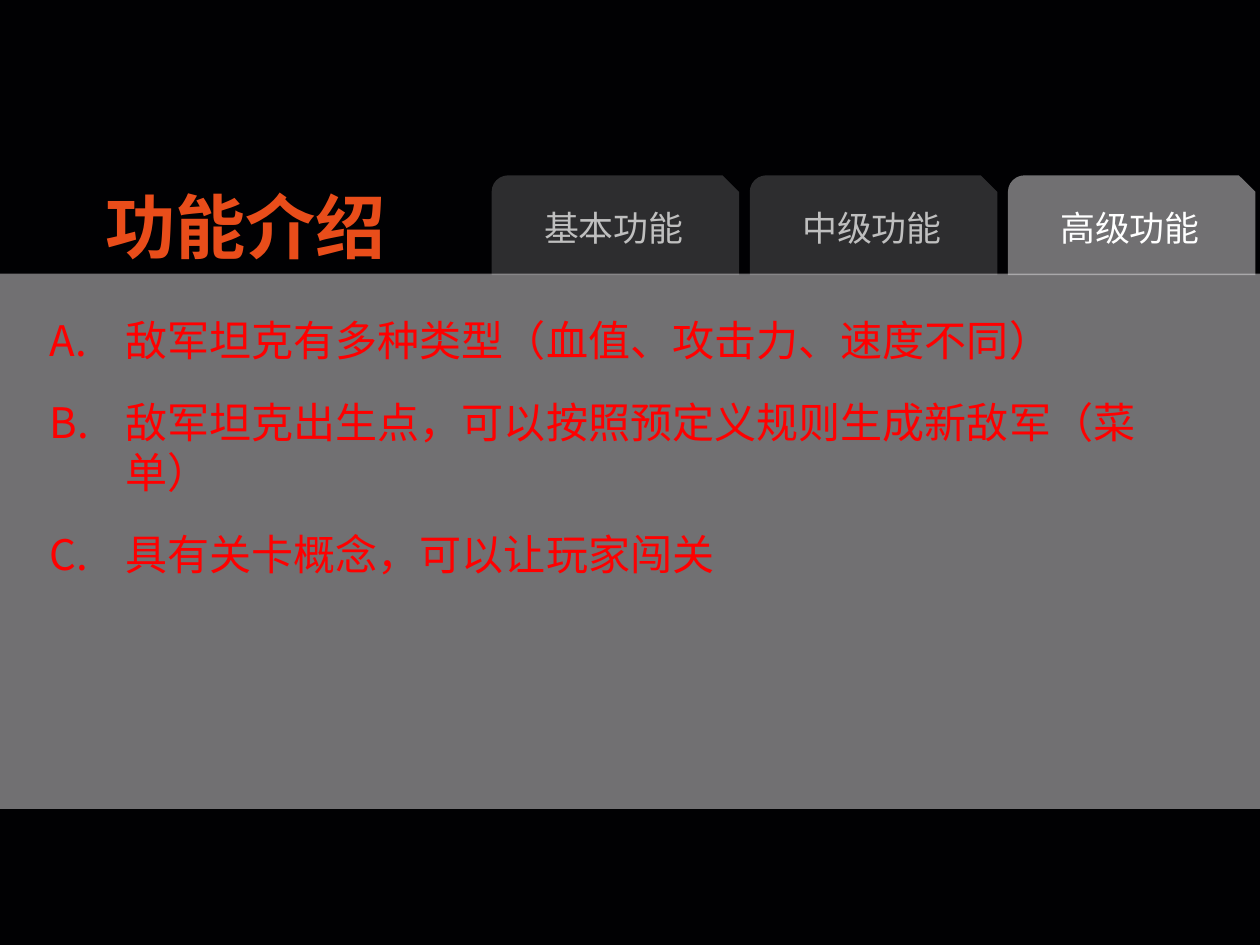
from lxml import etree
from pptx import Presentation
from pptx.dml.color import RGBColor
from pptx.enum.shapes import MSO_SHAPE
from pptx.enum.text import MSO_ANCHOR, PP_ALIGN
from pptx.oxml.ns import qn
from pptx.util import Inches, Pt

RECTANGLE = MSO_SHAPE.RECTANGLE
TAB_SHAPE = MSO_SHAPE.SNIP_ROUND_RECTANGLE
MIDDLE = MSO_ANCHOR.MIDDLE
CENTER = PP_ALIGN.CENTER
FONT = "Noto Sans CJK SC"
WIDTH, HEIGHT = 8.33, 6.25
COLORS = {
    "background": "010103",
    "surface": "E1E0E2",
    "title": "E94D1A",
    "tab": "BFBFBF",
    "active_tab": "FFFFFF",
    "feature": "FF0000",
}
TABS = ["基本功能", "中级功能", "高级功能"]
ACTIVE_TAB = "高级功能"
FEATURES = [
    "敌军坦克有多种类型（血值、攻击力、速度不同）",
    "敌军坦克出生点，可以按照预定义规则生成新敌军（菜单）",
    "具有关卡概念，可以让玩家闯关",
]


def color(name):
    """Return the named colour."""
    return RGBColor.from_string(COLORS[name])


def format_runs(paragraph, size, color_name, bold=False):
    """Give every run of a paragraph its font, size and colour."""
    for run in paragraph.runs:
        run.font.size = Pt(size)
        run.font.bold = bold
        run.font.color.rgb = color(color_name)
        run.font.name = FONT
        east_asian = etree.Element(qn("a:ea"), typeface=FONT)
        run.font._element.find(qn("a:latin")).addnext(east_asian)


def add_surface(slide, kind, box, opacity):
    """Add a translucent borderless shape in the given box."""
    shape = slide.shapes.add_shape(kind, *map(Inches, box))
    shape.shadow.inherit = False
    shape.line.fill.background()
    shape.fill.solid()
    shape.fill.fore_color.rgb = color("surface")
    fill_color = shape.fill._xPr.find(qn("a:solidFill"))[0]
    etree.SubElement(fill_color, qn("a:alpha"), val=str(opacity * 1000))
    return shape


def add_title(slide, box):
    """Add the slide title."""
    frame = slide.shapes.add_textbox(*map(Inches, box)).text_frame
    frame.word_wrap = False
    frame.vertical_anchor = MIDDLE
    frame.text = "功能介绍"
    frame.paragraphs[0].alignment = CENTER
    format_runs(frame.paragraphs[0], 33.4, "title", bold=True)


def add_tabs(slide, box, gap):
    """Spread the tabs evenly over the box and highlight the active one."""
    left, top, width, height = box
    tab_width = (width - gap * (len(TABS) - 1)) / len(TABS)
    for index, label in enumerate(TABS):
        active = label == ACTIVE_TAB
        tab_box = left + index * (tab_width + gap), top, tab_width, height
        frame = add_surface(slide, TAB_SHAPE, tab_box, 50 if active else 20).text_frame
        frame.vertical_anchor = MIDDLE
        frame.text = label
        frame.paragraphs[0].alignment = CENTER
        format_runs(frame.paragraphs[0], 16.6, "active_tab" if active else "tab")


def add_features(slide, box):
    """Add the lettered list of features."""
    frame = slide.shapes.add_textbox(*map(Inches, box)).text_frame
    frame.word_wrap = True
    frame.text = "\n".join(FEATURES)
    for paragraph in frame.paragraphs:
        paragraph.space_before = Pt(15)
        paragraph.line_spacing = Pt(24)
        properties = paragraph._p.get_or_add_pPr()
        properties.set("marL", str(Inches(0.5)))
        properties.set("indent", str(-Inches(0.5)))
        etree.SubElement(properties, qn("a:buFont"), typeface=FONT)
        etree.SubElement(properties, qn("a:buAutoNum"), type="alphaUcPeriod")
        format_runs(paragraph, 20, "feature")


def main():
    """Build and save the feature slide."""
    presentation = Presentation()
    presentation.slide_width = Inches(WIDTH)
    presentation.slide_height = Inches(HEIGHT)
    slide = presentation.slides.add_slide(presentation.slide_layouts[6])
    slide.background.fill.solid()
    slide.background.fill.fore_color.rgb = color("background")
    add_surface(slide, RECTANGLE, (0, 1.81, WIDTH, 3.54), 50)
    add_tabs(slide, (3.25, 1.16, 5.05, 0.66), 0.07)
    add_features(slide, (0.23, 2.03, 7.6, 1.87))
    add_title(slide, (0.59, 1.16, 2.07, 0.66))
    presentation.save("out.pptx")


if __name__ == "__main__":
    main()
